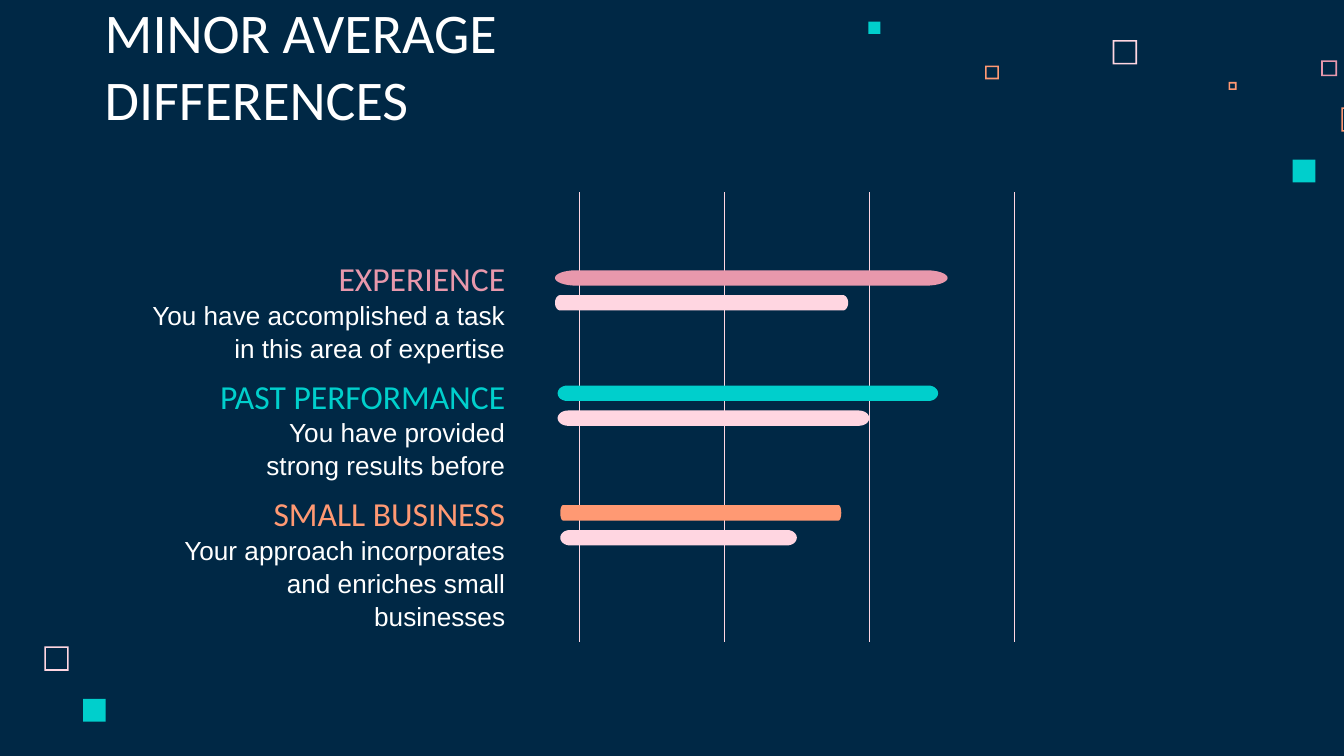
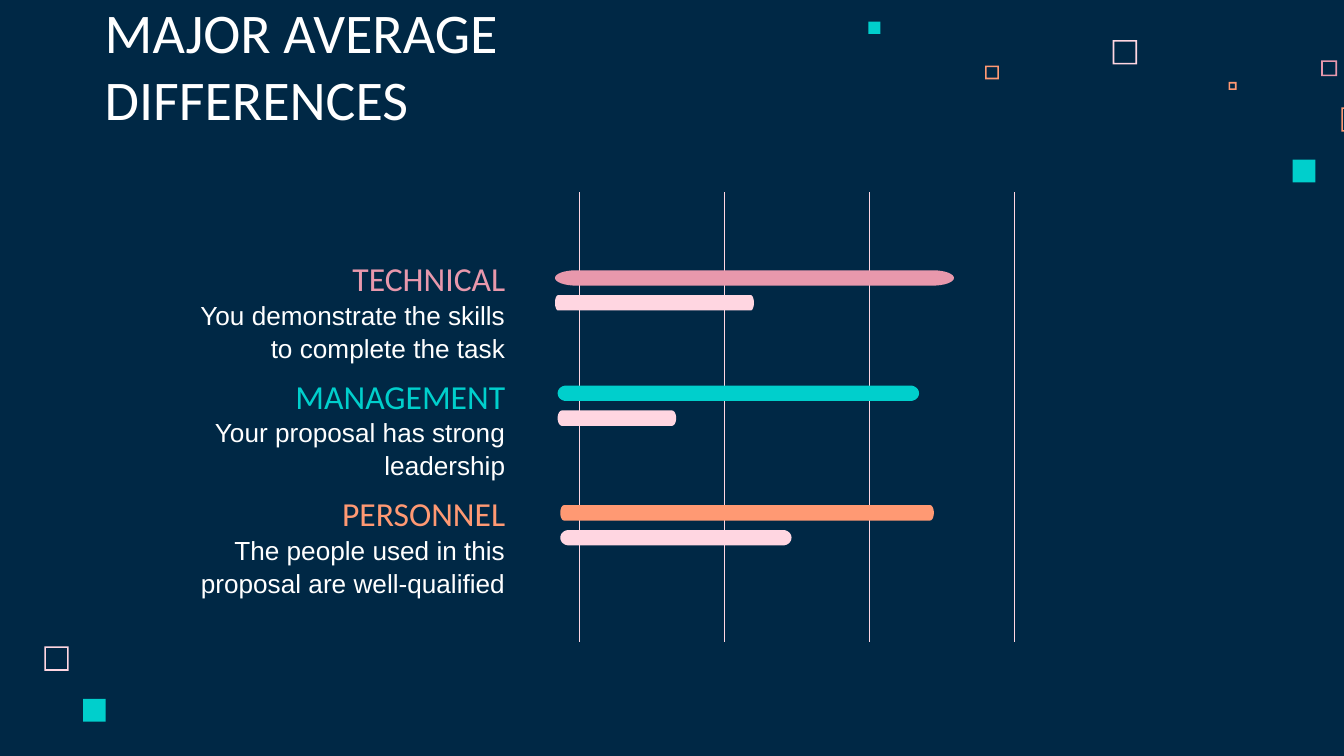
import math
from dataclasses import dataclass

import pptx
import pptx.dml.color
import pptx.enum.shapes
import pptx.enum.text
import pptx.oxml
import pptx.oxml.ns
import pptx.util

Cm = pptx.util.Cm
Kind = pptx.enum.shapes.MSO_SHAPE
Align = pptx.enum.text.PP_ALIGN
Anchor = pptx.enum.text.MSO_ANCHOR


@dataclass(frozen=True)
class Theme:
    navy: str = "002845"
    white: str = "FFFFFF"
    blush: str = "FFD6E1"
    rose: str = "E898AC"
    teal: str = "00CFCC"
    coral: str = "FF9973"
    head: str = "Calibri"
    body: str = "Arial"
    big: int = 30
    mid: int = 18
    small: int = 14
    hair: float = 0.25


THEME = Theme()

# Corner squares: left, top, size, colour, hollow
SQUARES = [
    (21.03, 0.76, 0.46, THEME.blush, True),
    (24.97, 1.14, 0.3, THEME.rose, True),
    (23.22, 1.55, 0.15, THEME.coral, True),
    (25.35, 2.03, 0.46, THEME.coral, True),
    (24.43, 3.02, 0.43, THEME.teal, False),
    (18.62, 1.24, 0.26, THEME.coral, True),
    (16.41, 0.41, 0.23, THEME.teal, False),
    (0.84, 12.22, 0.46, THEME.blush, True),
    (1.57, 13.21, 0.43, THEME.teal, False),
]

# Rows: colour, bar left, bar top
ROWS = [
    (THEME.rose, 10.49, 5.11),
    (THEME.teal, 10.54, 7.29),
    (THEME.coral, 10.59, 9.55),
]

# Each item: heading, its width, text, its width, two bars as (length, cap)
SLIDES = [
    ("MINOR AVERAGE DIFFERENCES", [
        ("EXPERIENCE", 5.23,
         "You have accomplished a task in this area of expertise", 7.24,
         [(7.42, 0.4), (5.54, 0.1)]),
        ("PAST PERFORMANCE", 5.99,
         "You have provided strong results before", 5.99,
         [(7.19, 0.18), (5.89, 0.2)]),
        ("SMALL BUSINESS", 5.23,
         "Your approach incorporates and enriches small businesses", 6.63,
         [(5.31, 0.05), (4.47, 0.18)]),
    ]),
    ("MAJOR AVERAGE DIFFERENCES", [
        ("TECHNICAL", 5.23,
         "You demonstrate the skills to complete the task", 6.63,
         [(7.54, 0.4), (3.76, 0.06)]),
        ("MANAGEMENT", 5.23,
         "Your proposal has strong leadership", 5.99,
         [(6.83, 0.16), (2.24, 0.08)]),
        ("PERSONNEL", 5.23,
         "The people used in this proposal are well-qualified", 6.63,
         [(7.06, 0.07), (4.37, 0.16)]),
    ]),
]


def tint(code):
    return pptx.dml.color.RGBColor.from_string(code)


class Deck:
    def __init__(self, theme):
        self.theme = theme
        self.show = pptx.Presentation()
        self.show.slide_width = Cm(25.4)
        self.show.slide_height = Cm(14.29)
        fill = self.show.slide_master.background.fill
        fill.solid()
        fill.fore_color.rgb = tint(theme.navy)
        self.slide = None

    def start(self):
        self.slide = self.show.slides.add_slide(self.show.slide_layouts[6])
        for square in SQUARES:
            self.square(*square)

    def paint(self, shape, color):
        shape.shadow.inherit = False
        shape.fill.solid()
        shape.fill.fore_color.rgb = tint(color)
        shape.line.fill.background()

    def square(self, left, top, size, color, hollow):
        kind = Kind.FRAME if hollow else Kind.RECTANGLE
        shape = self.slide.shapes.add_shape(
            kind, Cm(left), Cm(top), Cm(size), Cm(size))
        if hollow:
            shape.adjustments[0] = 0.03 / size
        self.paint(shape, color)

    def text(self, words, left, top, width, height, size, color, font,
             align=Align.LEFT, anchor=Anchor.BOTTOM):
        box = self.slide.shapes.add_textbox(
            Cm(left), Cm(top), Cm(width), Cm(height))
        frame = box.text_frame
        frame.word_wrap = True
        frame.vertical_anchor = anchor
        frame.margin_left = frame.margin_right = Cm(0.25)
        frame.margin_top = frame.margin_bottom = Cm(0.25)
        frame.text = words
        para = frame.paragraphs[0]
        para.alignment = align
        style = para.runs[0].font
        style.name = font
        style.size = pptx.util.Pt(size)
        style.color.rgb = tint(color)
        return para

    def rule(self, left, top, height):
        line = self.slide.shapes.add_connector(
            pptx.enum.shapes.MSO_CONNECTOR.STRAIGHT,
            Cm(left), Cm(top), Cm(left), Cm(top + height))
        line.line.color.rgb = tint(self.theme.blush)
        line.line.width = pptx.util.Pt(self.theme.hair)
        props = line._element.spPr
        props.append(pptx.oxml.parse_xml(
            "<a:effectLst %s/>" % pptx.oxml.ns.nsdecls("a")))

    def bar(self, shapes, left, top, width, cap, color):
        """Draw a bar whose ends are half ellipses, cap wide."""
        half, steps = 0.145, 16
        dots = []
        for side, mid in ((1, left + width - cap), (-1, left + cap)):
            for step in range(steps + 1):
                turn = math.pi * step / steps
                x = mid + side * cap * math.sin(turn)
                y = top + half - side * half * math.cos(turn)
                dots.append((int(Cm(x)), int(Cm(y))))
        pen = shapes.build_freeform(*dots[0])
        pen.add_line_segments(dots[1:], close=True)
        self.paint(pen.convert_to_shape(), color)

    def pair(self, bars, left, top, color):
        group = self.slide.shapes.add_group_shape()
        for spot, (width, cap) in enumerate(bars):
            shade = self.theme.blush if spot else color
            self.bar(group.shapes, left, top + 0.47 * spot, width, cap, shade)

    def label(self, head, wide, words, span, top, color):
        edge, look = 9.8, self.theme
        self.text(head, edge - wide, top, wide, 1.09, look.mid, color,
                  look.head, Align.RIGHT)
        para = self.text(words, edge - span, top + 0.58, span, 1.8,
                         look.small, look.white, look.body,
                         Align.RIGHT, Anchor.TOP)
        para.space_after = pptx.util.Pt(16)
        para.line_spacing = 1.05


def main():
    deck = Deck(THEME)
    for title, items in SLIDES:
        deck.start()
        deck.text(title, 1.73, 1.14, 13.13, 1.6, THEME.big, THEME.white,
                  THEME.head)
        # Scale lines
        for spot in range(4):
            deck.rule(10.94 + 2.74 * spot, 3.63, 8.5)
        # Paired bars with their labels
        for spot, (item, row) in enumerate(zip(items, ROWS)):
            head, wide, words, span, bars = item
            color, left, top = row
            deck.pair(bars, left, top, color)
            deck.label(head, wide, words, span, 4.8 + 2.22 * spot, color)
    deck.show.save("out.pptx")


if __name__ == "__main__":
    main()
